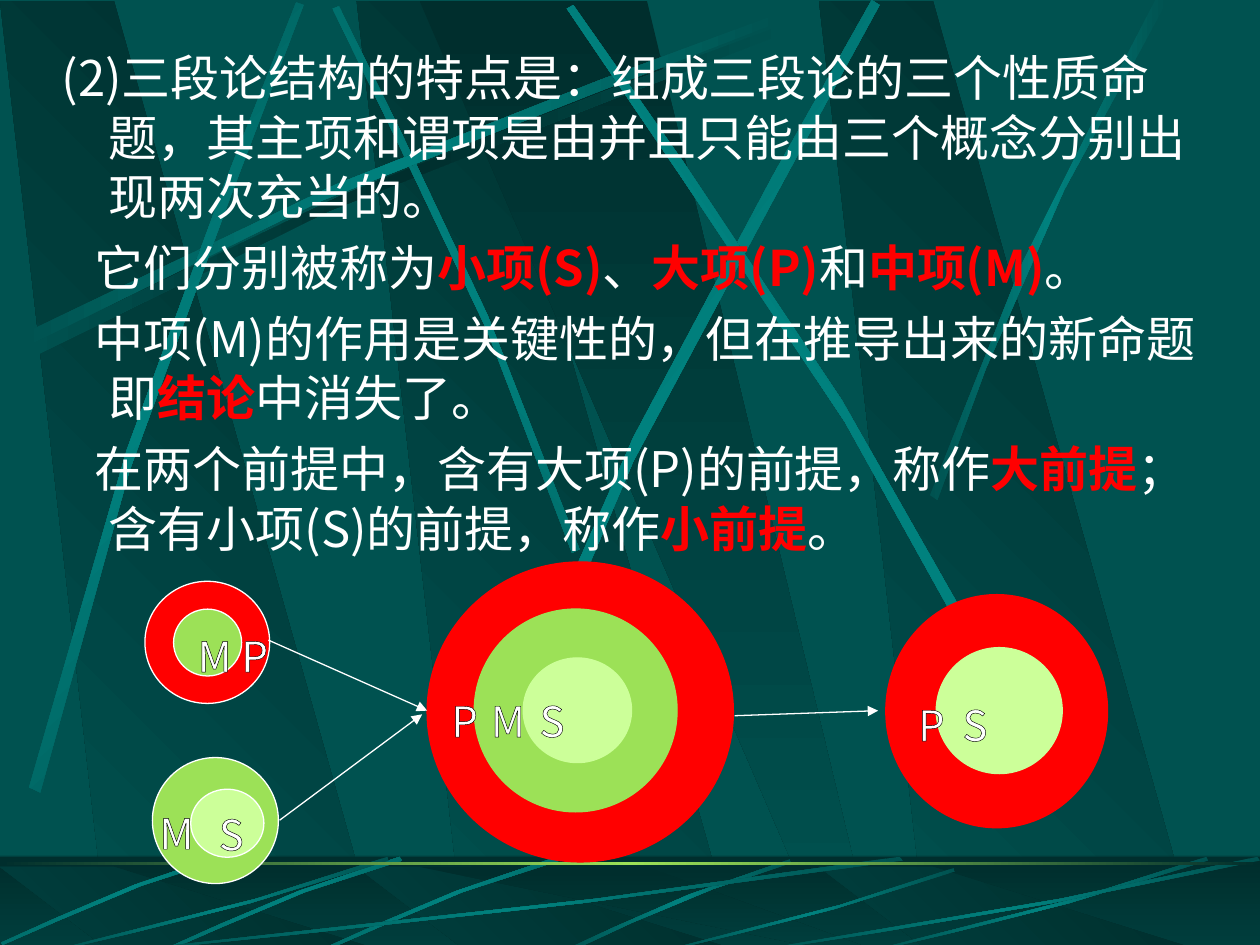
"""Build a slide on the structure of the syllogism, with term circles."""
from copy import deepcopy

from lxml import etree
from pptx import Presentation
from pptx.dml.color import RGBColor
from pptx.enum.shapes import MSO_CONNECTOR, MSO_SHAPE
from pptx.enum.text import MSO_ANCHOR, PP_ALIGN
from pptx.oxml.ns import qn
from pptx.util import Pt

OVAL, RECTANGLE = MSO_SHAPE.OVAL, MSO_SHAPE.RECTANGLE
STRAIGHT, MIDDLE, CENTER = MSO_CONNECTOR.STRAIGHT, MSO_ANCHOR.MIDDLE, PP_ALIGN.CENTER
TEAL = RGBColor(0x00, 0x52, 0x50)
DARK = RGBColor(0x00, 0x2E, 0x2D)
BRIGHT = RGBColor(0x00, 0x81, 0x7E)
RED = RGBColor(0xFF, 0x00, 0x00)
GREEN = RGBColor(0x9C, 0xE1, 0x57)
PALE = RGBColor(0xCC, 0xFF, 0x99)
WHITE = RGBColor(0xFF, 0xFF, 0xFF)

SHADE = (DARK, TEAL)
GLOW = (TEAL, BRIGHT, TEAL)
SLANT = [(28.5, 100), (100, 100), (30, 0), (0, 0)]
WEDGE = [(0, 0), (90, 100), (100, 100), (50, 0)]
RAY = [(100, 4), (56.6, 57), (17.2, 85), (0.5, 100),
       (0, 99), (16.5, 81), (61.6, 51), (99.5, 0)]
LONG_BEAM = [(10.1, 192.2), (200.2, 90.7), (373, 36.7), (446.4, 7.2),
             (448.6, 11.5), (375.9, 43.9), (178.6, 102.9), (12.3, 199.4)]
WALL_BEAMS = [
    (135, [(331.2, 313.9), (281.5, 168.5), (217.4, 55.4), (193.7, 3.6),
           (190.1, 5), (212.4, 56.9), (286.6, 185.8), (326.9, 316.1)]),
    (180, LONG_BEAM),
    (48.3, [(16.6, 450), (67, 240.5), (141.8, 75.6), (169.2, 1.4),
            (173.5, 2.9), (149, 77.8), (61.9, 265), (23, 452.9)]),
    (38.4, [(277.2, 442.1), (358.6, 230.4), (459.4, 73.4), (498.2, 0),
            (502.6, 2.9), (467.3, 77.8), (349.9, 255.6), (283.7, 447.1)]),
    (145.2, [(580.3, 403.2), (482.4, 211), (371.5, 68.4), (327.6, 2.9),
             (324, 5), (365, 72.7), (493.2, 234), (575.3, 407.5)]),
    (180, [(531.4, 283), (586.1, 124.6), (639.4, 47.5), (660.2, 0),
           (667.4, 0), (601.9, 104.4), (553.7, 231.8), (535.7, 285.8)]),
]
FLOOR_BEAM = [(451.4, 491), (386.6, 510.5), (343.4, 534.2), (322.6, 542.9),
              (326.2, 543.6), (352.8, 530.6), (411.1, 504), (452.2, 493.2)]
SHORT_BEAM = [(318.2, 489.6), (255.6, 507.6), (206.6, 532.8), (184.3, 542.2),
              (185, 543.6), (207.4, 535), (262.8, 506.2), (319.7, 491.8)]
SHORT_BEAM_OFFSETS = [(0, 0), (-90, 0), (-183.6, -3.6)]
FLOOR_RAYS = [(72, 489.6, 444.2, 54), (30.2, 489.6, 192.2, 54), (379.4, 496.1, 166.3, 47.5),
              (498.2, 489.6, 192.2, 54), (432, 489.6, 288, 54)]

PARAGRAPHS = [
    (-27, [("(2)三段论结构的特点是：组成三段论的三个性质命题，其主项和谓项是由并且只能由三个概念分别出现两次充当的。", False)]),
    (-8, [("它们分别被称为", False), ("小项(S)", True), ("、", False), ("大项(P)", True),
          ("和", False), ("中项(M)", True), ("。", False)]),
    (-8, [("中项(M)的作用是关键性的，但在推导出来的新命题即", False), ("结论", True), ("中消失了。", False)]),
    (-8, [("在两个前提中，含有大项(P)的前提，称作", False), ("大前提", True),
          ("；含有小项(S)的前提，称作", False), ("小前提", True), ("。", False)]),
]
CIRCLES = [
    (82.8, 332.2, 71.3, 69.8, RED, WHITE), (87.1, 432.9, 72, 72, GREEN, WHITE),
    (244.1, 321.1, 175, 171.4, RED, RED), (506.2, 339.8, 126.7, 133.2, RED, RED),
    (99.2, 348.1, 38.9, 38.2, GREEN, WHITE), (109, 451, 41.8, 38.9, PALE, WHITE),
    (271, 348, 115.9, 115.9, GREEN, GREEN), (299, 376, 61.9, 59.8, PALE, PALE),
    (535, 370.1, 72, 72, PALE, PALE),
]
ARROWS = [(153.4, 365.8, 244.1, 406.1), (159.8, 468.7, 241.2, 408.2), (419.8, 409, 501.8, 406.1)]
LABELS = [("M", 118.9, 374.5), ("P", 144, 374.5), ("M", 97.1, 475.7), ("S", 131, 476.4),
          ("P", 263.9, 411.6), ("M", 286.5, 411.6), ("S", 314.3, 411.6),
          ("P", 530.6, 413.9), ("S", 556, 413.9)]


def curve(start, first, second, end, steps=3):
    """Return points along a cubic curve."""
    points = []
    for step in range(steps + 1):
        t = step / steps
        weights = ((1 - t) ** 3, 3 * t * (1 - t) ** 2, 3 * t * t * (1 - t), t ** 3)
        points.append(tuple(sum(weight * point[axis] for weight, point in
                                zip(weights, (start, first, second, end))) for axis in (0, 1)))
    return points


def fit(outline, left, top, width, height):
    """Stretch an outline given in percent over a box."""
    return [(left + x * width / 100, top + y * height / 100) for x, y in outline]


class SlideBuilder:
    """Hold the style and the current slide."""

    font_name = "Noto Sans CJK SC"
    line_width = Pt(0.75)

    def __init__(self, slide):
        self.slide = slide
        slide.background.fill.solid()
        slide.background.fill.fore_color.rgb = TEAL

    def gradient(self, shape, colors, angle):
        """Fill a shape with evenly spaced colours along a clockwise angle."""
        shape.shadow.inherit = False
        shape.line.fill.background()
        shape.fill.gradient()
        shape.fill.gradient_angle = (360 - angle) % 360
        stop_list = shape._element.spPr.find(".//" + qn("a:gsLst"))
        for _ in colors[2:]:
            stop_list.append(deepcopy(stop_list[0]))
        for index, (stop, color) in enumerate(zip(shape.fill.gradient_stops, colors)):
            stop.color.rgb = color
            stop.position = index / (len(colors) - 1)

    def polygon(self, points, colors, angle):
        """Draw a closed outline with a gradient."""
        corners = [(Pt(x), Pt(y)) for x, y in points]
        builder = self.slide.shapes.build_freeform(*corners[0])
        builder.add_line_segments(corners[1:], close=True)
        self.gradient(builder.convert_to_shape(), colors, angle)

    def beam(self, points, angle, colors=GLOW, offset=(0, 0)):
        """Draw a thin light beam between two curves."""
        moved = [(x + offset[0], y + offset[1]) for x, y in points]
        self.polygon(curve(*moved[:4]) + curve(*moved[4:]), colors, angle)

    def bands(self, top, height):
        """Draw the slanted bands and the wedge."""
        for left in (203.8, 0, 468):
            self.polygon(fit(SLANT, left, top, 217.4, height), SHADE, 135)
        self.polygon(fit(WEDGE, 239.8, top, 259.9, height), SHADE, 90)

    def shape(self, kind, *box):
        """Add a preset shape without shadow."""
        shape = self.slide.shapes.add_shape(kind, *map(Pt, box))
        shape.shadow.inherit = False
        return shape

    def veil(self, *box):
        """Draw a half transparent dark rectangle."""
        shape = self.shape(RECTANGLE, *box)
        shape.line.fill.background()
        shape.fill.solid()
        shape.fill.fore_color.rgb = DARK
        color = shape._element.spPr.find(".//" + qn("a:srgbClr"))
        etree.SubElement(color, qn("a:alpha"), val="50000")

    def circle(self, left, top, width, height, fill, line):
        """Draw a term circle."""
        shape = self.shape(OVAL, left, top, width, height)
        shape.fill.solid()
        shape.fill.fore_color.rgb = fill
        shape.line.color.rgb = line
        shape.line.width = self.line_width

    def arrow(self, *ends):
        """Draw a straight arrow."""
        connector = self.slide.shapes.add_connector(STRAIGHT, *map(Pt, ends))
        connector.line.color.rgb = WHITE
        connector.line.width = self.line_width
        etree.SubElement(connector.line._get_or_add_ln(), qn("a:tailEnd"), type="triangle")
        etree.SubElement(connector._element.spPr, qn("a:effectLst"))

    def run(self, paragraph, text, size, color=WHITE, bold=False):
        """Add one styled run."""
        run = paragraph.add_run()
        run.text = text
        run.font.size, run.font.bold, run.font.name = Pt(size), bold, self.font_name
        run.font.color.rgb = color
        properties = run.font._element
        etree.SubElement(properties, qn("a:ea"), typeface=self.font_name)
        return properties

    def body(self, paragraphs, *box):
        """Write the body text with hanging indents."""
        frame = self.slide.shapes.add_textbox(*map(Pt, box)).text_frame
        frame.word_wrap = True
        for index, (indent, runs) in enumerate(paragraphs):
            paragraph = frame.add_paragraph() if index else frame.paragraphs[0]
            properties = paragraph._p.get_or_add_pPr()
            properties.set("marL", str(Pt(27)))
            properties.set("indent", str(Pt(indent)))
            properties.set("hangingPunct", "0")
            paragraph.line_spacing = Pt(34)
            paragraph.space_before = Pt(6.5 if index else 0)
            for text, is_term in runs:
                self.run(paragraph, text, 28, RED if is_term else WHITE, is_term)

    def label(self, text, center, middle):
        """Write an outlined letter around a point."""
        frame = self.slide.shapes.add_textbox(Pt(center - 6), Pt(middle - 18), Pt(12), Pt(36)).text_frame
        frame.margin_left = frame.margin_right = frame.margin_top = frame.margin_bottom = 0
        frame.word_wrap, frame.vertical_anchor = False, MIDDLE
        paragraph = frame.paragraphs[0]
        paragraph.alignment = CENTER
        outline = etree.Element(qn("a:ln"), w=str(self.line_width))
        fill = etree.SubElement(outline, qn("a:solidFill"))
        etree.SubElement(fill, qn("a:srgbClr"), val="000000")
        self.run(paragraph, text, 24).insert(0, outline)


def main():
    """Build and save the presentation."""
    presentation = Presentation()
    presentation.slide_width, presentation.slide_height = Pt(720), Pt(540)
    builder = SlideBuilder(presentation.slides.add_slide(presentation.slide_layouts[6]))
    builder.bands(0.7, 541)
    builder.beam(LONG_BEAM, 180, (TEAL, DARK, TEAL), (4.3, 5.8))
    for angle, points in WALL_BEAMS:
        builder.beam(points, angle)
    builder.gradient(builder.shape(RECTANGLE, 0, 489.6, 720, 54), SHADE, 90)
    builder.bands(495.4, 47.5)
    builder.veil(0, 488.9, 720, 54)
    builder.beam(FLOOR_BEAM, 180)
    for offset in SHORT_BEAM_OFFSETS:
        builder.beam(SHORT_BEAM, 45, offset=offset)
    for box in FLOOR_RAYS:
        builder.beam(fit(RAY, *box), 180)
    builder.gradient(builder.shape(RECTANGLE, 0, 492.5, 720, 1.6), (DARK, GREEN, DARK), 180)
    builder.body(PARAGRAPHS, 28.1, 23.4, 676.1, 501.8)
    for circle in CIRCLES:
        builder.circle(*circle)
    for arrow in ARROWS:
        builder.arrow(*arrow)
    for label in LABELS:
        builder.label(*label)
    presentation.save("out.pptx")


if __name__ == "__main__":
    main()
